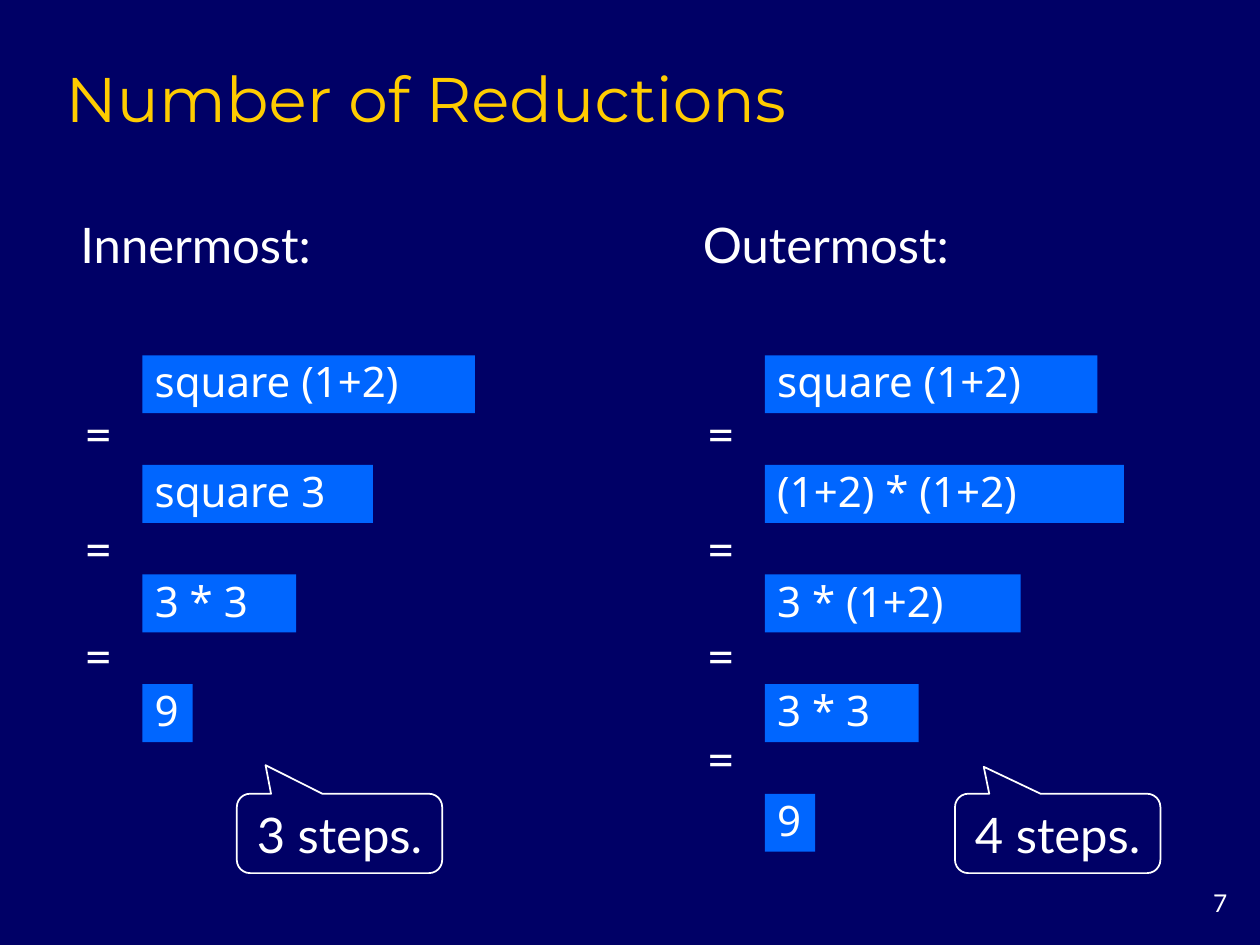
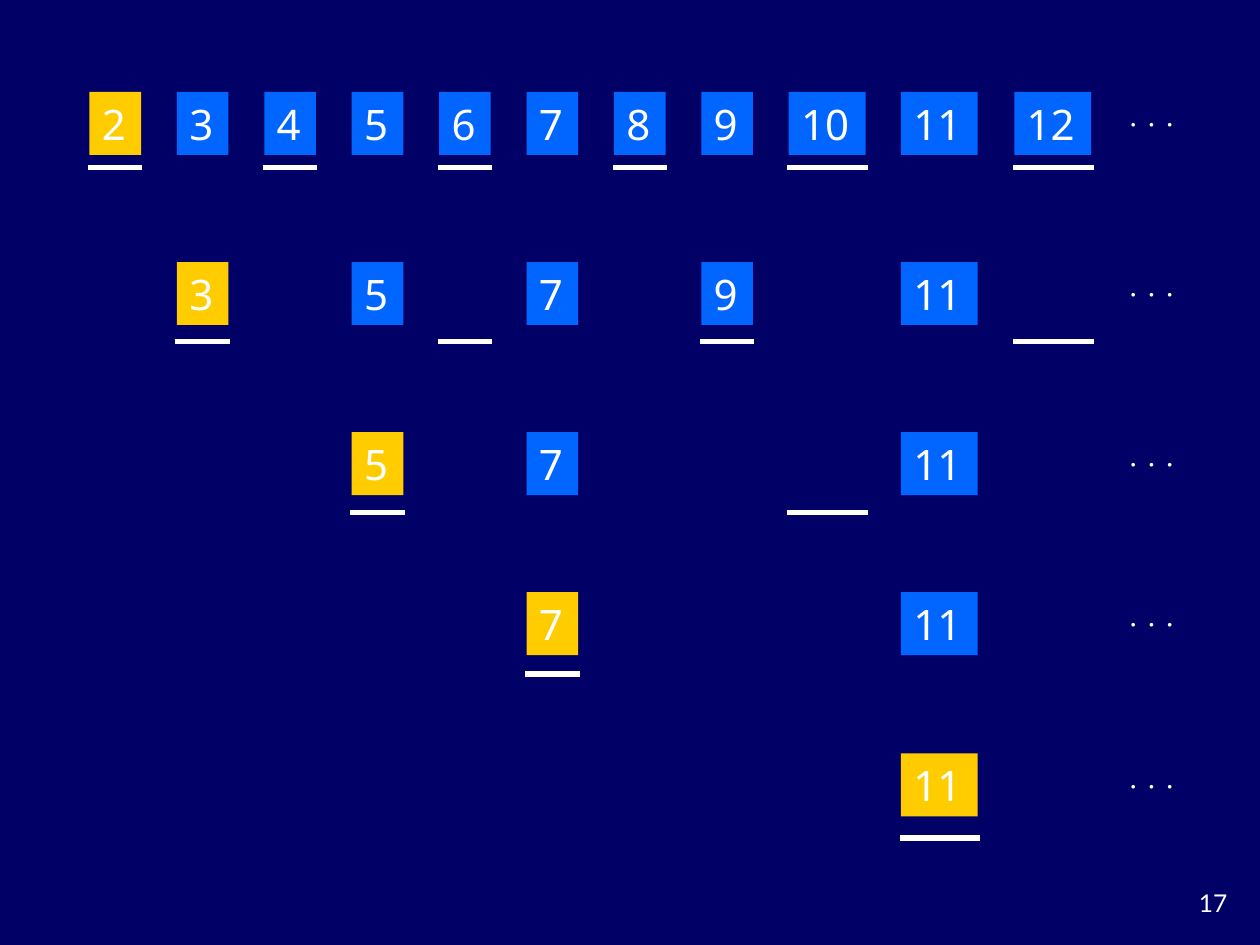
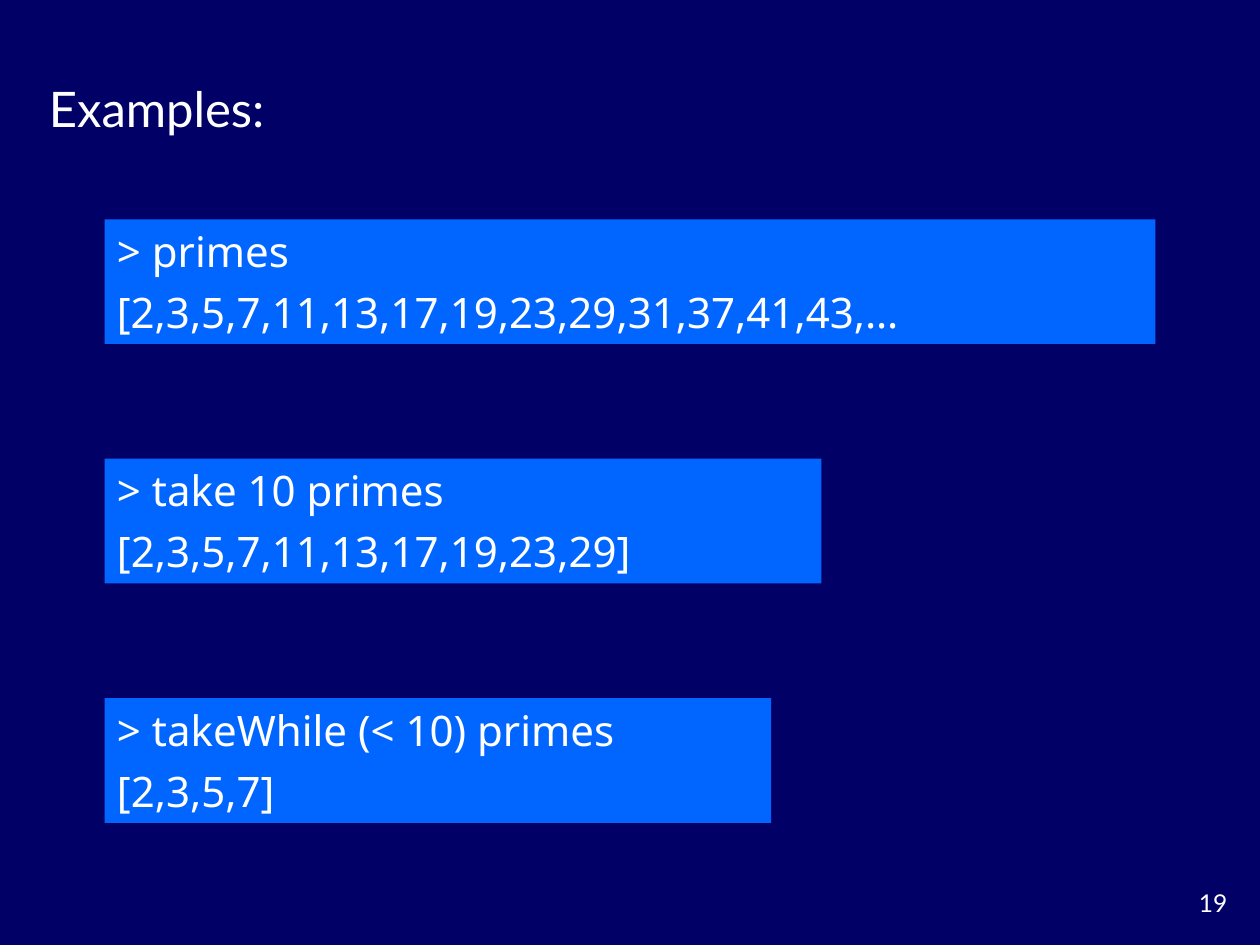
from dataclasses import dataclass
from lxml import etree
from pptx import Presentation
from pptx import util as u
from pptx.dml.color import RGBColor
from pptx.enum import shapes, text
from pptx.oxml.ns import qn


@dataclass(frozen=True)
class Theme:
    back: str = "000066"
    blue: str = "0066FF"
    gold: str = "FFCC00"
    white: str = "FFFFFF"
    head: str = "Montserrat"
    body: str = "Lato"
    code: str = "Noto Sans"
    title: int = 36
    large: int = 28
    mono: int = 24
    small: int = 14


T = Theme()
RGB = RGBColor.from_string
LEFT, MID, RIGHT = text.PP_ALIGN.LEFT, text.PP_ALIGN.CENTER, text.PP_ALIGN.RIGHT
TOP, CENTER = text.MSO_ANCHOR.TOP, text.MSO_ANCHOR.MIDDLE


def write(frame, words, size, face, hue=T.white, align=LEFT, anchor=CENTER):
    frame.text = words
    frame.word_wrap = True
    frame.auto_size = text.MSO_AUTO_SIZE.NONE
    frame.vertical_anchor = anchor
    for para in frame.paragraphs:
        para.alignment = align
        for run in para.runs:
            run.font.size = u.Pt(size)
            run.font.name = face
            run.font.color.rgb = RGB(hue)


def block(slide, area, words, fill=T.blue, anchor=TOP):
    rect = slide.shapes.add_shape(shapes.MSO_SHAPE.RECTANGLE, *map(u.Inches, area))
    rect.shadow.inherit = False
    rect.fill.solid()
    rect.fill.fore_color.rgb = RGB(fill)
    rect.line.fill.background()
    write(rect.text_frame, words, T.mono, T.code, anchor=anchor)
    return rect


deck = Presentation()
deck.slide_width, deck.slide_height = u.Inches(10), u.Inches(7.5)
master = deck.slide_master.background.fill
master.solid()
master.fore_color.rgb = RGB(T.back)

pages = []
for number, layout in (("7", 5), ("17", 6), ("19", 6)):
    slide = deck.slides.add_slide(deck.slide_layouts[layout])
    foot = slide.shapes.add_textbox(*map(u.Inches, (9.17, 7, 0.67, 0.33)))
    write(foot.text_frame, number, T.small, T.body, align=RIGHT, anchor=TOP)
    pages.append(slide)
steps, sieve, demo = pages

title = steps.shapes.title
title.left, title.top, title.width, title.height = map(u.Inches, (0.42, 0.42, 9.31, 0.75))
write(title.text_frame, "Number of Reductions", T.title, T.head, T.gold, anchor=TOP)

orders = [
    ("Innermost:", 0.54, "3 steps.", 1.88, -0.86,
     [("square (1+2)", 2.64), ("square 3", 1.83), ("3 * 3", 1.22), ("9", 0.4)]),
    ("Outermost:", 5.48, "4 steps.", 7.58, -0.84,
     [("square (1+2)", 2.64), ("(1+2) * (1+2)", 2.85), ("3 * (1+2)", 2.03),
      ("3 * 3", 1.22), ("9", 0.4)]),
]
equals = [3.15, 4.06, 4.91, 5.73]
for name, left, count, spot, tip, terms in orders:
    label = steps.shapes.add_textbox(*map(u.Inches, (left, 1.65, 3.96, 0.57)))
    write(label.text_frame, name, T.large, T.body)
    for row, (term, width) in enumerate(terms):
        rect = block(steps, (left + 0.59, 2.82 + 0.87 * row, width, 0.46), term, anchor=CENTER)
        rect.text_frame.paragraphs[0].line_spacing = 0.9
    for top in equals[:len(terms) - 1]:
        sign = steps.shapes.add_textbox(*map(u.Inches, (left, top, 0.48, 0.57)))
        write(sign.text_frame, "=", T.large, T.body, align=MID)
    bubble = steps.shapes.add_shape(
        shapes.MSO_SHAPE.ROUNDED_RECTANGULAR_CALLOUT, *map(u.Inches, (spot, 6.3, 1.63, 0.63)))
    bubble.shadow.inherit = False
    bubble.fill.background()
    bubble.line.color.rgb = RGB(T.white)
    bubble.line.width = u.Pt(1)
    bubble.adjustments[0], bubble.adjustments[1] = -0.36, tip
    write(bubble.text_frame, count, T.large, T.body, align=MID)

lefts = [0.71 + 5.55 * col / 8 for col in range(9)] + [7.15, 8.05]
spots = dict(zip(range(2, 13), lefts))
rows = [(2, 0.73, 1.33), (3, 2.08, 2.71), (5, 3.43, 4.07), (7, 4.7, 5.35), (11, 5.98, 6.65)]
left_over = list(spots)
for prime, top, under in rows:
    for value in left_over:
        width = 0.61 if value > 9 else 0.41
        fill = T.gold if value == prime else T.blue
        block(sieve, (spots[value], top, width, 0.5), str(value), fill)
    for value in range(prime, 13, prime):
        start = spots[value] + 0.01
        end = start + (0.6 if value > 9 else 0.39)
        line = sieve.shapes.add_connector(
            shapes.MSO_CONNECTOR.STRAIGHT, *map(u.Inches, (start, under, end, under)))
        line.line.color.rgb = RGB(T.white)
        line.line.width = u.Pt(3)
        line.line._get_or_add_ln().set("cap", "sq")
        etree.SubElement(line._element.spPr, qn("a:effectLst"))
    for col in range(3):
        dot = sieve.shapes.add_textbox(*map(u.Inches, (8.85 + 0.145 * col, top + 0.08, 0.29, 0.33)))
        write(dot.text_frame, "∙", T.small, T.body, align=MID)
    left_over = [value for value in left_over if value % prime]

label = demo.shapes.add_textbox(*map(u.Inches, (0.29, 0.57, 2.57, 0.57)))
write(label.text_frame, "Examples:", T.large, T.body)
runs = [
    ("> primes\n[2,3,5,7,11,13,17,19,23,29,31,37,41,43,…", 8.34),
    ("> take 10 primes\n[2,3,5,7,11,13,17,19,23,29]", 5.69),
    ("> takeWhile (< 10) primes\n[2,3,5,7]", 5.29),
]
for row, (code, width) in enumerate(runs):
    rect = block(demo, (0.83, 1.74 + 1.9 * row, width, 0.99), code)
    rect.text_frame.paragraphs[1].space_before = u.Pt(6)

deck.save("out.pptx")
